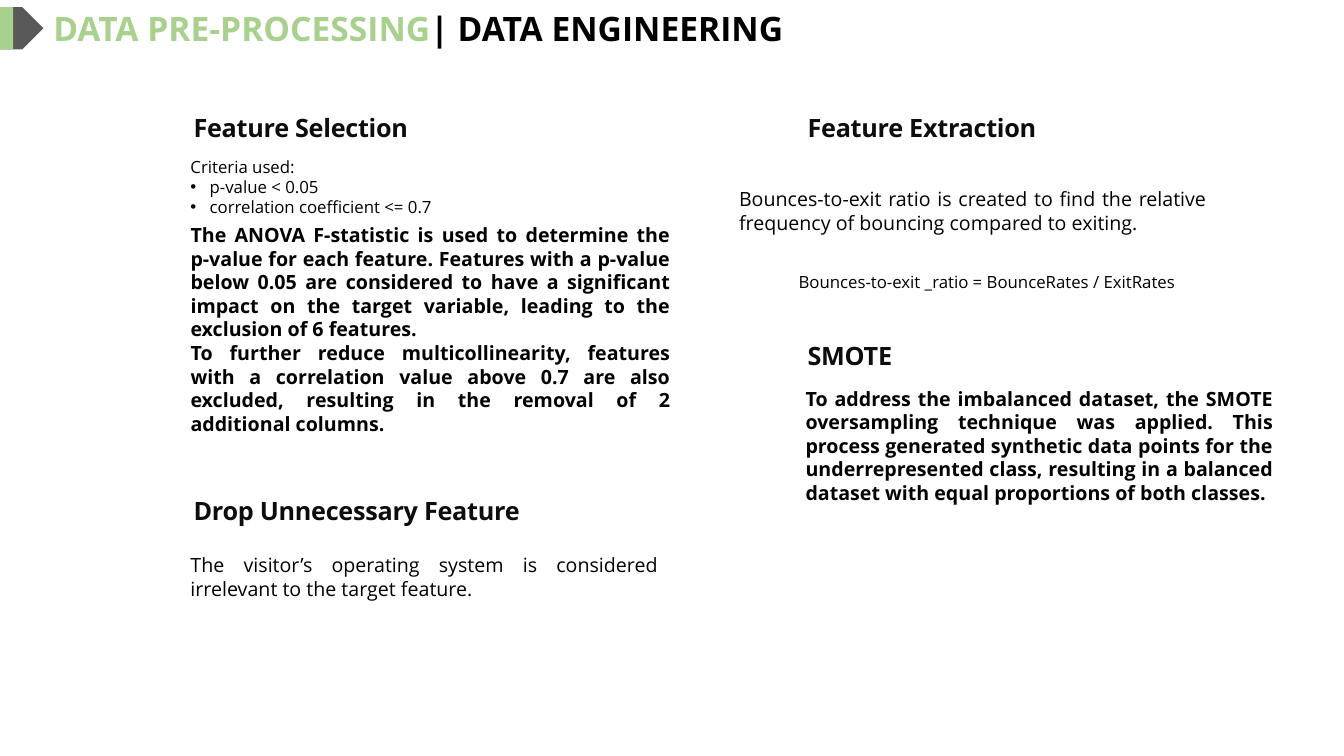
from dataclasses import dataclass

from lxml.etree import SubElement
from pptx import Presentation
from pptx.dml.color import RGBColor
from pptx.enum.shapes import MSO_SHAPE
from pptx.enum.text import MSO_ANCHOR, MSO_AUTO_SIZE, PP_ALIGN
from pptx.oxml.ns import qn
from pptx.slide import Slide
from pptx.text.text import TextFrame
from pptx.util import Emu, Pt

EMU_PER_PX = 9144


@dataclass(frozen=True)
class Theme:
    font: str = "Open Sans"
    green: RGBColor = RGBColor(0xA9, 0xD1, 0x8E)
    gray: RGBColor = RGBColor(0x59, 0x59, 0x59)
    heading: RGBColor = RGBColor(0x0D, 0x0D, 0x0D)
    black: RGBColor = RGBColor(0, 0, 0)
    title_size: int = 24
    heading_size: int = 18
    body_size: int = 14
    detail_size: int = 12


THEME = Theme()


@dataclass(frozen=True)
class Box:
    left: int
    top: int
    width: int
    height: int


@dataclass(frozen=True)
class Heading:
    box: Box
    text: str


@dataclass(frozen=True)
class Body:
    box: Box
    lines: tuple[str, ...]
    size: int = THEME.body_size
    bold: bool = False
    align: PP_ALIGN = PP_ALIGN.JUSTIFY
    first_bullet: int | None = None


HEADINGS = (
    Heading(Box(191, 110, 292, 32), "Feature Selection"),
    Heading(Box(191, 490, 345, 32), "Drop Unnecessary Feature"),
    Heading(Box(800, 110, 292, 32), "Feature Extraction"),
    Heading(Box(800, 337, 292, 32), "SMOTE"),
)

BODIES = (
    Body(
        Box(176, 156, 417, 58),
        ("Criteria used:", "p-value < 0.05", "correlation coefficient <= 0.7"),
        size=THEME.detail_size,
        align=PP_ALIGN.LEFT,
        first_bullet=1,
    ),
    Body(
        Box(176, 224, 502, 205),
        (
            "The ANOVA F-statistic is used to determine the p-value for each feature. "
            "Features with a p-value below 0.05 are considered to have a significant "
            "impact on the target variable, leading to the exclusion of 6 features.",
            "To further reduce multicollinearity, features with a correlation value "
            "above 0.7 are also excluded, resulting in the removal of 2 additional columns.",
        ),
        bold=True,
    ),
    Body(
        Box(176, 543, 490, 58),
        ("The visitor’s operating system is considered irrelevant to the target feature.",),
    ),
    Body(
        Box(720, 180, 490, 58),
        (
            "Bounces-to-exit ratio is created to find the relative frequency of "
            "bouncing compared to exiting.",
        ),
    ),
    Body(
        Box(786, 374, 490, 136),
        (
            "To address the imbalanced dataset, the SMOTE oversampling technique was "
            "applied. This process generated synthetic data points for the "
            "underrepresented class, resulting in a balanced dataset with equal "
            "proportions of both classes.",
        ),
        bold=True,
    ),
    Body(
        Box(779, 251, 452, 58),
        ("Bounces-to-exit _ratio = BounceRates / ExitRates",),
        size=THEME.detail_size,
        align=PP_ALIGN.LEFT,
    ),
)


def px(length: int) -> Emu:
    return Emu(length * EMU_PER_PX)


def place(box: Box) -> tuple[Emu, Emu, Emu, Emu]:
    return px(box.left), px(box.top), px(box.width), px(box.height)


def add_block(slide: Slide, kind: MSO_SHAPE, box: Box, color: RGBColor) -> None:
    shape = slide.shapes.add_shape(kind, *place(box))
    shape.shadow.inherit = False
    shape.fill.solid()
    shape.fill.fore_color.rgb = color
    shape.line.fill.background()


def add_frame(slide: Slide, box: Box, margins: tuple[int, int, int, int]) -> TextFrame:
    frame = slide.shapes.add_textbox(*place(box)).text_frame
    frame.word_wrap = True
    frame.margin_left, frame.margin_top, frame.margin_right, frame.margin_bottom = map(px, margins)
    return frame


def add_run(paragraph, text: str, size: int, color: RGBColor, bold: bool):
    run = paragraph.add_run()
    run.text = text
    run.font.name = THEME.font
    run.font.size = Pt(size)
    run.font.bold = bold
    run.font.color.rgb = color
    return run


def indent(paragraph, left: int, first_line: int):
    properties = paragraph._p.get_or_add_pPr()
    properties.set("marL", str(px(left)))
    properties.set("indent", str(px(first_line)))
    return properties


def add_title(slide: Slide) -> None:
    frame = add_frame(slide, Box(43, 3, 1105, 50), (10, 5, 10, 5))
    frame.auto_size = MSO_AUTO_SIZE.SHAPE_TO_FIT_TEXT
    paragraph = frame.paragraphs[0]
    add_run(paragraph, "DATA PRE-PROCESSING", THEME.title_size, THEME.green, True)
    add_run(paragraph, "| DATA ENGINEERING", THEME.title_size, THEME.black, True)


def add_heading(slide: Slide, heading: Heading) -> None:
    frame = add_frame(slide, heading.box, (0, 1, 0, 0))
    frame.auto_size = MSO_AUTO_SIZE.SHAPE_TO_FIT_TEXT
    paragraph = frame.paragraphs[0]
    indent(paragraph, 1, 0)
    run = add_run(paragraph, heading.text, THEME.heading_size, THEME.heading, True)
    run._r.get_or_add_rPr().set("spc", "-20")


def add_body(slide: Slide, body: Body) -> None:
    frame = add_frame(slide, body.box, (13, 13, 13, 13))
    frame.vertical_anchor = MSO_ANCHOR.MIDDLE
    for index, line in enumerate(body.lines):
        paragraph = frame.paragraphs[0] if index == 0 else frame.add_paragraph()
        paragraph.alignment = body.align
        if body.first_bullet is not None and index >= body.first_bullet:
            properties = indent(paragraph, 19, -19)
            SubElement(properties, qn("a:buFont")).set("typeface", "Arial")
            SubElement(properties, qn("a:buChar")).set("char", "•")
        add_run(paragraph, line, body.size, THEME.black, body.bold)


def main() -> None:
    presentation = Presentation()
    presentation.slide_width = px(1333)
    presentation.slide_height = px(750)
    slide = presentation.slides.add_slide(presentation.slide_layouts[6])
    add_block(slide, MSO_SHAPE.PENTAGON, Box(0, 7, 43, 42), THEME.gray)
    add_block(slide, MSO_SHAPE.RECTANGLE, Box(0, 7, 13, 42), THEME.green)
    add_title(slide)
    for heading in HEADINGS:
        add_heading(slide, heading)
    for body in BODIES:
        add_body(slide, body)
    presentation.save("out.pptx")


if __name__ == "__main__":
    main()
